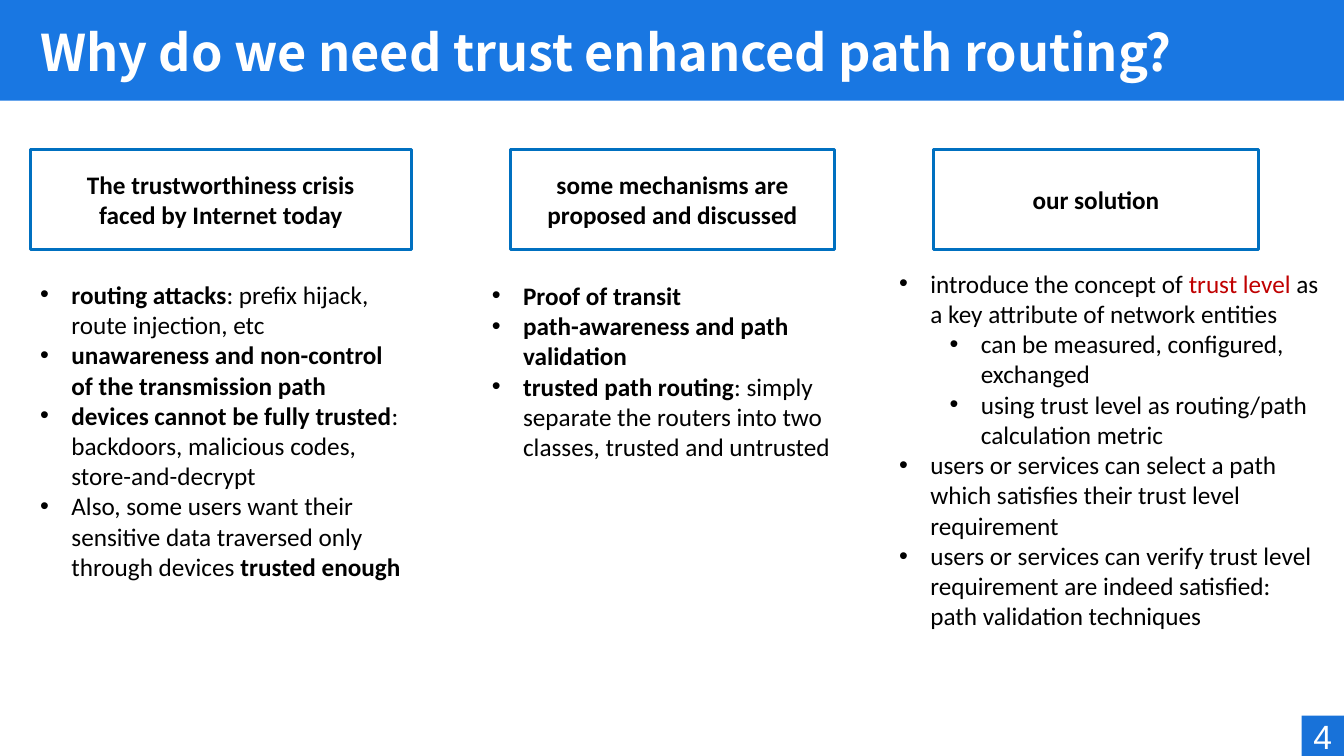
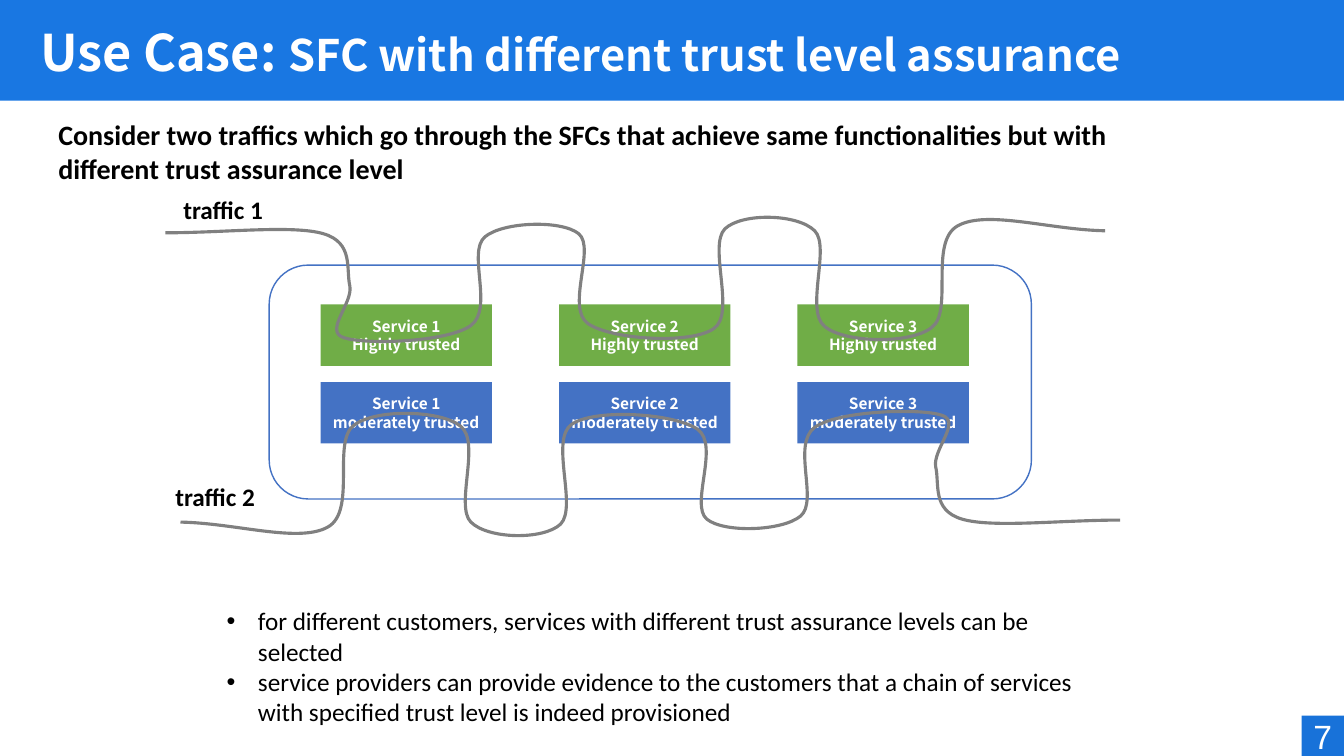
import pptx
import pptx.util
import pptx.dml.color
import pptx.enum.shapes
import pptx.enum.text
import pptx.oxml
import pptx.oxml.ns
from pptx.util import Inches

SHAPE = pptx.enum.shapes.MSO_SHAPE
ALIGN = pptx.enum.text.PP_ALIGN
ANCHOR = pptx.enum.text.MSO_ANCHOR

HEADING_FONT, BODY_FONT, NUMBER_FONT = "Noto Sans CJK SC", "Calibri", "Arial"
BAND, NUMBER_TILE, FRAME = "1977E2", "1872D9", "0070C0"
GREEN, BLUE, GRAY = "70AD47", "4472C4", "808080"
WHITE, BLACK, RED = "FFFFFF", "000000", "C00000"
BOLD = {"bold": True}


def color(value):
    return pptx.dml.color.RGBColor.from_string(value)


def add_block(slide, box, paragraphs=(), kind=None, fill=None, line=None, line_width=2.25,
              size=18, font=BODY_FONT, ink=BLACK, bold=False, align=ALIGN.LEFT,
              bullets=False, spacing=None, inset=0.1, wrap=True):
    """Add a text box, or a shape of the given kind.

    A paragraph is a list of (text, overrides) runs; a leading number is its level.
    """
    area = [Inches(length) for length in box]
    if kind is None:
        block = slide.shapes.add_textbox(*area)
    else:
        block = slide.shapes.add_shape(kind, *area)
        block.shadow.inherit = False
        if fill:
            block.fill.solid()
            block.fill.fore_color.rgb = color(fill)
        else:
            block.fill.background()
        if line:
            block.line.color.rgb = color(line)
            block.line.width = pptx.util.Pt(line_width)
        else:
            block.line.fill.background()
    frame = block.text_frame
    frame.word_wrap = wrap
    frame.margin_left = frame.margin_right = Inches(inset)
    if kind is not None:
        frame.vertical_anchor = ANCHOR.MIDDLE
    for index, runs in enumerate(paragraphs):
        paragraph = frame.add_paragraph() if index else frame.paragraphs[0]
        paragraph.alignment = align
        if spacing:
            paragraph.line_spacing = spacing
        level = 0
        if isinstance(runs[0], int):
            level, runs = runs[0], runs[1:]
        paragraph.level = level
        if bullets:
            properties = paragraph._p.get_or_add_pPr()
            properties.set("marL", str(Inches(0.31 + 0.5 * level)))
            properties.set("indent", str(-Inches(0.31)))
            for tag, key, value in (("buFont", "typeface", "Arial"), ("buChar", "char", "•")):
                mark = pptx.oxml.parse_xml(f'<a:{tag} {pptx.oxml.ns.nsdecls("a")} {key}="{value}"/>')
                properties.append(mark)
        for text, override in runs:
            run = paragraph.add_run()
            run.text = text
            run.font.name = font
            run.font.size = pptx.util.Pt(override.get("size", size))
            run.font.bold = override.get("bold", bold)
            run.font.color.rgb = color(override.get("ink", ink))
    return block


deck = pptx.Presentation()
deck.slide_width, deck.slide_height = Inches(13.33), Inches(7.5)

# Title band and page number on every slide
titles = [
    ("4", [("Why do we need trust enhanced path routing?", {})]),
    ("7", [("Use Case: ", {}), ("SFC with different trust level assurance", {"size": 31})]),
]
slides = []
for number, title in titles:
    slide = deck.slides.add_slide(deck.slide_layouts[6])
    add_block(slide, (0, 0, 13.33, 1), kind=SHAPE.RECTANGLE, fill=BAND)
    heading = add_block(slide, (0.3, 0.05, 12.12, 1), [title], size=36, font=HEADING_FONT,
                        ink=WHITE, bold=True, spacing=0.9)
    heading.text_frame.vertical_anchor = ANCHOR.MIDDLE
    add_block(slide, (12.91, 7.1, 0.42, 0.4), [[(number, {})]], kind=SHAPE.RECTANGLE,
              fill=NUMBER_TILE, size=24, font=NUMBER_FONT, ink=WHITE, align=ALIGN.CENTER, wrap=False)
    slides.append(slide)
reasons, use_case = slides

# Slide 1: three columns, each a framed heading over a bulleted list
columns = [
    (0.3, 3.78, "The trustworthiness crisis faced by Internet today", (0.3, 2.72, 3.78, 3.13), [
        [("routing attacks", BOLD), (": prefix hijack, route injection, etc", {})],
        [("unawareness and non-control of the transmission path", BOLD)],
        [("devices cannot be fully trusted", BOLD),
         (": backdoors, malicious codes, store-and-decrypt", {})],
        [("Also, some users want their sensitive data traversed only through devices ", {}),
         ("trusted enough", BOLD)],
    ]),
    (5.06, 3.22, "some mechanisms are proposed and discussed", (4.78, 2.73, 3.78, 1.92), [
        [("Proof of transit", BOLD)],
        [("path-awareness and path validation", BOLD)],
        [("trusted path routing", BOLD),
         (": simply separate the routers into two classes, trusted and untrusted", {})],
    ]),
    (9.26, 3.22, "our solution", (8.82, 2.61, 4.36, 3.74), [
        [("introduce the concept of ", {}), ("trust level ", {"ink": RED}),
         ("as a key attribute of network entities", {})],
        [1, ("can be measured, configured, exchanged", {})],
        [1, ("using trust level as routing/path calculation metric", {})],
        [("users or services can select a path which satisfies their trust level requirement", {})],
        [("users or services can verify trust level requirement are indeed satisfied: "
          "path validation techniques", {})],
    ]),
]
HEADING_TEXT_WIDTH = 2.74
for left, width, heading, list_box, points in columns:
    add_block(reasons, (left, 1.48, width, 1), [[(heading, {})]], kind=SHAPE.RECTANGLE, line=FRAME,
              bold=True, align=ALIGN.CENTER, inset=(width - HEADING_TEXT_WIDTH) / 2)
    add_block(reasons, list_box, points, bullets=True)

# Slide 2: service domain with three services at two trust levels
add_block(use_case, (2.67, 2.63, 7.56, 2.32), kind=SHAPE.ROUNDED_RECTANGLE, line=BLUE, line_width=1)
trust_levels = [(3.02, "Highly trusted", GREEN), (3.79, "moderately trusted", BLUE)]
for service in range(3):
    for top, trust, fill in trust_levels:
        add_block(use_case, (3.18 + 2.365 * service, top, 1.7, 0.61),
                  [[(f"Service {service + 1}", {})], [(trust, {})]], kind=SHAPE.RECTANGLE,
                  fill=fill, size=11, font=HEADING_FONT, ink=WHITE, bold=True, align=ALIGN.CENTER)

# Traffic curves: a start point, then three Bezier points per segment
route = [
    (1.64, 2.31),
    (2.23, 2.31), (2.91, 2.23), (3.21, 2.32), (3.51, 2.41), (3.43, 2.67), (3.47, 2.84),
    (3.5, 3.01), (3.21, 3.29), (3.41, 3.35), (3.61, 3.42), (4.43, 3.4), (4.67, 3.23),
    (4.9, 3.06), (4.63, 2.5), (4.81, 2.35), (4.99, 2.2), (5.57, 2.18), (5.74, 2.32),
    (5.91, 2.46), (5.61, 3.05), (5.83, 3.21), (6.06, 3.37), (6.85, 3.42), (7.08, 3.26),
    (7.3, 3.11), (7.02, 2.44), (7.19, 2.27), (7.36, 2.11), (7.91, 2.12), (8.08, 2.29),
    (8.24, 2.45), (7.98, 3.08), (8.18, 3.24), (8.37, 3.4), (9.02, 3.42), (9.24, 3.25),
    (9.46, 3.09), (9.21, 2.4), (9.5, 2.24), (9.79, 2.08), (10.41, 2.28), (10.96, 2.29),
]
half_turn = [(12.75 - x, 7.47 - y) for x, y in route]
traffics = [("traffic 1", route, (1.72, 1.88)), ("traffic 2", half_turn, (1.64, 4.73))]
for label, points, label_corner in traffics:
    start, *rest = [(Inches(x), Inches(y)) for x, y in points]
    builder = use_case.shapes.build_freeform(*start)
    builder.add_line_segments(rest, close=False)
    curve = builder.convert_to_shape()
    curve.shadow.inherit = False
    curve.fill.background()
    curve.line.color.rgb = color(GRAY)
    curve.line.width = pptx.util.Pt(2.25)
    # Turn every three straight steps into one Bezier segment
    outline = curve._element.find(".//" + pptx.oxml.ns.qn("a:path"))
    steps = outline.findall(pptx.oxml.ns.qn("a:lnTo"))
    for first in range(0, len(steps), 3):
        bezier = pptx.oxml.parse_xml(f'<a:cubicBezTo {pptx.oxml.ns.nsdecls("a")}/>')
        for step in steps[first:first + 3]:
            bezier.append(step[0])
            outline.remove(step)
        outline.append(bezier)
    add_block(use_case, (*label_corner, 2.42, 0.4), [[(label, {})]], bold=True)

# Introduction and conclusions
add_block(use_case, (0.48, 1.12, 11.18, 0.77),
          [[("Consider two traffics which go through the SFCs that achieve same functionalities "
             "but with different trust assurance level", {})]], size=20, bold=True)
add_block(use_case, (2.15, 5.96, 8.6, 1.31), [
    [("for different customers, services with different trust assurance levels can be selected", {})],
    [("service providers can provide evidence to the customers that a chain of services "
      "with specified trust level is indeed provisioned", {})],
], bullets=True)

deck.save("out.pptx")
